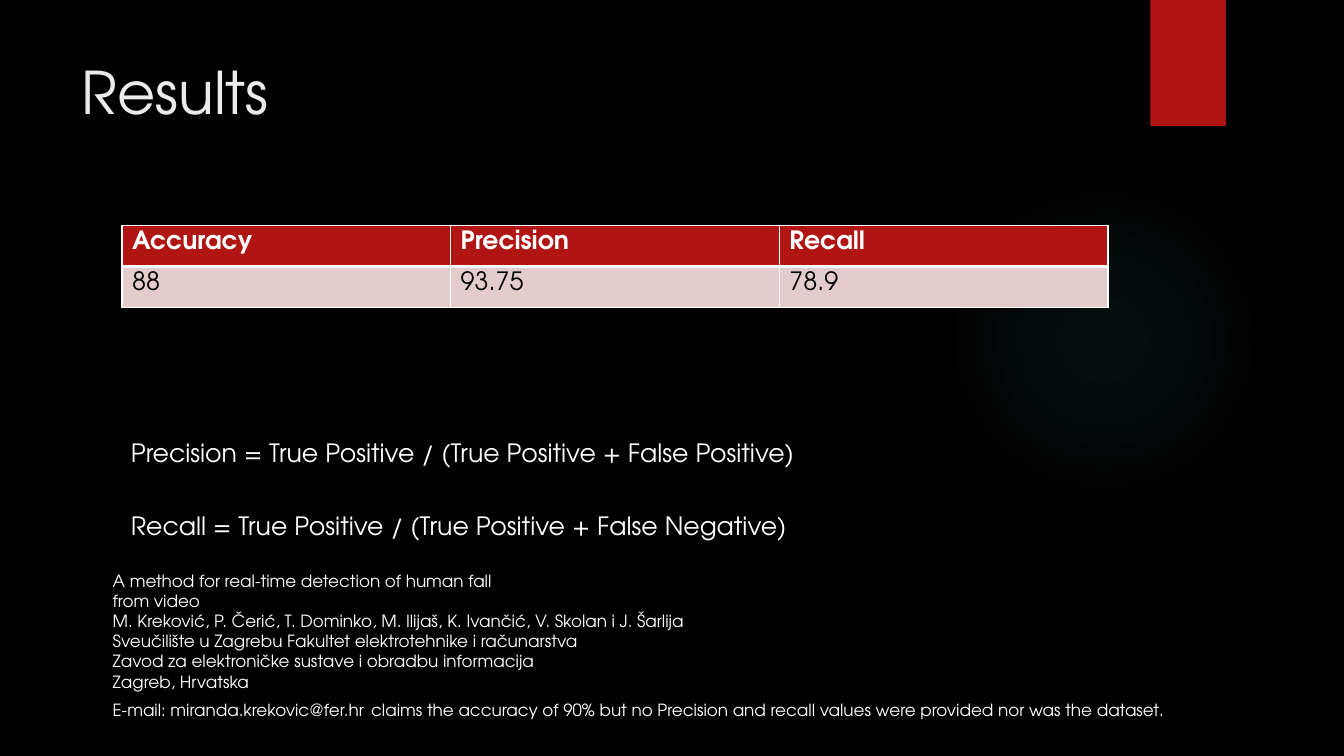
import pptx
import pptx.dml.color
import pptx.enum.shapes
import pptx.enum.text
import pptx.oxml
import pptx.oxml.ns
import pptx.util

Inches = pptx.util.Inches
FONT = "TeX Gyre Adventor"
COLORS = {"black": "000000", "white": "FFFFFF", "title": "EBEBEB",
          "red": "B01513", "pink": "E4CCCC", "glow": "50B9C1"}
NAMESPACE = pptx.oxml.ns.nsdecls("a")


def color(name):
    return pptx.dml.color.RGBColor.from_string(COLORS[name])


def add_span(para, text, size, name="white", bold=False):
    span = para.add_run()
    span.text = text
    span.font.name = FONT
    span.font.size = pptx.util.Pt(size)
    span.font.bold = bold
    span.font.color.rgb = color(name)


deck = pptx.Presentation()
deck.slide_width, deck.slide_height = Inches(13.33), Inches(7.5)
page = deck.slides.add_slide(deck.slide_layouts[5])
page.background.fill.solid()
page.background.fill.fore_color.rgb = color("black")

# Soft glow and red tab
shape_kinds = pptx.enum.shapes.MSO_SHAPE
glow = page.shapes.add_shape(shape_kinds.OVAL, Inches(9.41), Inches(1.83),
                             Inches(3.08), Inches(3.08))
tab = page.shapes.add_shape(shape_kinds.RECTANGLE, Inches(11.41), 0,
                            Inches(0.75), Inches(1.25))
for decoration in (glow, tab):
    decoration.shadow.inherit = False
    decoration.line.fill.background()
tab.fill.solid()
tab.fill.fore_color.rgb = color("red")

stops = "".join(
    f'<a:gs pos="{position * 1000}"><a:srgbClr val="{COLORS["glow"]}">'
    f'<a:alpha val="{opacity * 1000}"/></a:srgbClr></a:gs>'
    for position, opacity in ((0, 7), (36, 6), (69, 0), (100, 0)))
gradient = pptx.oxml.parse_xml(
    f'<a:gradFill {NAMESPACE} rotWithShape="1"><a:gsLst>{stops}</a:gsLst>'
    '<a:path path="circle"><a:fillToRect l="50000" t="50000" r="50000" b="50000"/>'
    '</a:path></a:gradFill>')
glow.fill.background()
no_fill = glow.element.spPr.find(pptx.oxml.ns.qn("a:noFill"))
glow.element.spPr.replace(no_fill, gradient)

# Title
title = page.shapes.title
title.left, title.top = Inches(0.71), Inches(0.5)
title.width, title.height = Inches(10.29), Inches(1.53)
title.text_frame.vertical_anchor = pptx.enum.text.MSO_ANCHOR.TOP
title_para = title.text_frame.paragraphs[0]
title_para.alignment = pptx.enum.text.PP_ALIGN.LEFT
add_span(title_para, "Results", 42, "title")

# Results table
results = [("Accuracy", "Precision", "Recall"), ("88", "93.75", "78.9")]
row_styles = [
    {"fill": "red", "text": "white", "bold": True,
     "borders": {"lnL": 1, "lnR": 1, "lnT": 1, "lnB": 3}},
    {"fill": "pink", "text": "black", "bold": False,
     "borders": {"lnL": 1, "lnR": 1, "lnT": 3, "lnB": 1}},
]
table = page.shapes.add_table(2, 3, Inches(1.21), Inches(2.24),
                              Inches(9.78), Inches(0.81)).table
for row_index, (values, style) in enumerate(zip(results, row_styles)):
    for column_index, value in enumerate(values):
        cell = table.cell(row_index, column_index)
        add_span(cell.text_frame.paragraphs[0], value, 18,
                 style["text"], style["bold"])
        properties = cell._tc.get_or_add_tcPr()
        for side, width in style["borders"].items():
            properties.append(pptx.oxml.parse_xml(
                f'<a:{side} {NAMESPACE} w="{pptx.util.Pt(width)}"><a:solidFill>'
                f'<a:srgbClr val="{COLORS["white"]}"/></a:solidFill></a:{side}>'))
        cell.fill.solid()
        cell.fill.fore_color.rgb = color(style["fill"])

# Formulas
formulas = ["Precision = True Positive / (True Positive + False Positive)",
            "Recall = True Positive / (True Positive + False Negative)"]
for index, formula in enumerate(formulas):
    box = page.shapes.add_textbox(Inches(1.2), Inches(4.29 + 0.72 * index),
                                  Inches(7.35), Inches(0.4))
    box.text_frame.word_wrap = True
    add_span(box.text_frame.paragraphs[0], formula, 18)

# Reference
reference = [
    [("A method for real-time detection of human fall", 12)],
    [("from video", 12)],
    [("M. Kreković, P. Čerić, T. Dominko, M. Ilijaš, K. Ivančić, V. Skolan i J. Šarlija", 12)],
    [("Sveučilište u Zagrebu Fakultet elektrotehnike i računarstva", 12)],
    [("Zavod za elektroničke sustave i obradbu informacija", 12)],
    [("Zagreb, Hrvatska", 12)],
    [("E-mail: miranda.krekovic@fer.hr", 12), (" ", 18),
     ("claims the accuracy of 90% but no Precision and recall values "
      "were provided nor was the dataset.", 12)],
]
box = page.shapes.add_textbox(Inches(1.02), Inches(5.61), Inches(11.7), Inches(1.61))
frame = box.text_frame
frame.word_wrap = True
for index, spans in enumerate(reference):
    para = frame.add_paragraph() if index else frame.paragraphs[0]
    para.alignment = pptx.enum.text.PP_ALIGN.JUSTIFY
    for text, size in spans:
        add_span(para, text, size)

deck.save("out.pptx")
